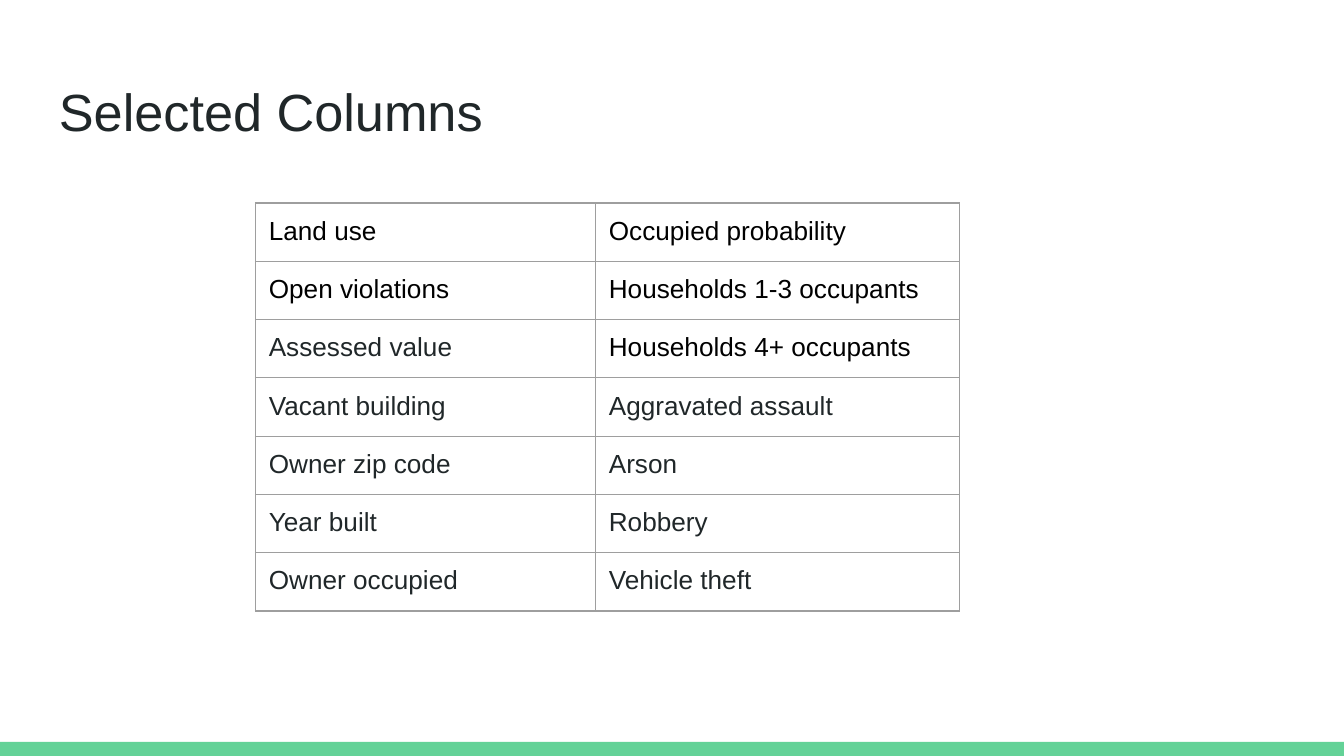
from dataclasses import dataclass

from lxml import etree
from pptx import Presentation
from pptx.dml.color import RGBColor
from pptx.enum import shapes, text
from pptx.oxml import ns
from pptx.util import Inches, Pt


@dataclass(frozen=True)
class Theme:
    font: str = "Arial"
    title_size: int = 28
    cell_size: int = 14
    ink: str = "202729"
    black: str = "000000"
    white: str = "FFFFFF"
    accent: str = "63D297"
    grid: str = "9E9E9E"
    grid_width: float = 0.75
    inset: float = 0.1


THEME = Theme()
SLIDE_WIDTH = 10
SLIDE_HEIGHT = SLIDE_WIDTH * 9 / 16
COLUMN_WIDTHS = (2.53, 2.71)
ROW_HEIGHT = 0.33
SELECTED_COLUMNS = [
    ("Land use", "Occupied probability"),
    ("Open violations", "Households 1-3 occupants"),
    ("Assessed value", "Households 4+ occupants"),
    ("Vacant building", "Aggravated assault"),
    ("Owner zip code", "Arson"),
    ("Year built", "Robbery"),
    ("Owner occupied", "Vehicle theft"),
]
BLACK_ROWS = (2, 3)  # leading rows in black, for each column


def add_run(paragraph, words, size, color):
    run = paragraph.add_run()
    run.text = words
    run.font.name = THEME.font
    run.font.size = Pt(size)
    run.font.color.rgb = RGBColor.from_string(color)


def set_paragraph_end(paragraph, size):
    """Keep the default font of the paragraph mark from raising the line."""
    mark = etree.SubElement(
        paragraph._p, ns.qn("a:endParaRPr"), sz=str(size * 100))
    etree.SubElement(mark, ns.qn("a:latin"), typeface=THEME.font)


def set_insets(holder):
    """Give a text frame or a table cell equal margins."""
    holder.margin_left = holder.margin_right = Inches(THEME.inset)
    holder.margin_top = holder.margin_bottom = Inches(THEME.inset)


def add_cell_borders(cell):
    properties = cell._tc.get_or_add_tcPr()
    for position, side in enumerate(("a:lnL", "a:lnR", "a:lnT", "a:lnB")):
        line = etree.Element(ns.qn(side), w=str(Pt(THEME.grid_width)))
        fill = etree.SubElement(line, ns.qn("a:solidFill"))
        etree.SubElement(fill, ns.qn("a:srgbClr"), val=THEME.grid)
        properties.insert(position, line)


def add_footer_band(slide, left, top, width, height):
    band = slide.shapes.add_shape(
        shapes.MSO_SHAPE.RECTANGLE,
        Inches(left), Inches(top), Inches(width), Inches(height))
    band.shadow.inherit = False
    band.fill.solid()
    band.fill.fore_color.rgb = RGBColor.from_string(THEME.accent)
    band.line.fill.background()


def add_title(slide, left, top, width, height):
    title = slide.shapes.add_textbox(
        Inches(left), Inches(top), Inches(width), Inches(height))
    frame = title.text_frame
    frame.word_wrap = True
    frame.vertical_anchor = text.MSO_ANCHOR.TOP
    set_insets(frame)
    add_run(frame.paragraphs[0], "Selected Columns", THEME.title_size, THEME.ink)


def add_columns_table(slide, left, top):
    """Rows grow to fit their text and insets."""
    table = slide.shapes.add_table(
        len(SELECTED_COLUMNS), len(COLUMN_WIDTHS), Inches(left), Inches(top),
        Inches(sum(COLUMN_WIDTHS)),
        Inches(ROW_HEIGHT * len(SELECTED_COLUMNS))).table
    table.first_row = table.horz_banding = False
    for column, width in zip(table.columns, COLUMN_WIDTHS):
        column.width = Inches(width)
    for row_index, names in enumerate(SELECTED_COLUMNS):
        table.rows[row_index].height = Inches(ROW_HEIGHT)
        for column_index, name in enumerate(names):
            cell = table.cell(row_index, column_index)
            cell.fill.background()
            set_insets(cell)
            add_cell_borders(cell)
            paragraph = cell.text_frame.paragraphs[0]
            is_black = row_index < BLACK_ROWS[column_index]
            add_run(paragraph, name, THEME.cell_size,
                    THEME.black if is_black else THEME.ink)
            set_paragraph_end(paragraph, THEME.cell_size)


def main():
    presentation = Presentation()
    presentation.slide_width = Inches(SLIDE_WIDTH)
    presentation.slide_height = Inches(SLIDE_HEIGHT)
    slide = presentation.slides.add_slide(presentation.slide_layouts[6])
    slide.background.fill.solid()
    slide.background.fill.fore_color.rgb = RGBColor.from_string(THEME.white)

    add_footer_band(slide, 0, 5.52, SLIDE_WIDTH, 0.11)
    add_title(slide, 0.34, 0.49, 9.32, 0.63)
    add_columns_table(slide, 1.9, 1.51)
    presentation.save("out.pptx")


if __name__ == "__main__":
    main()
